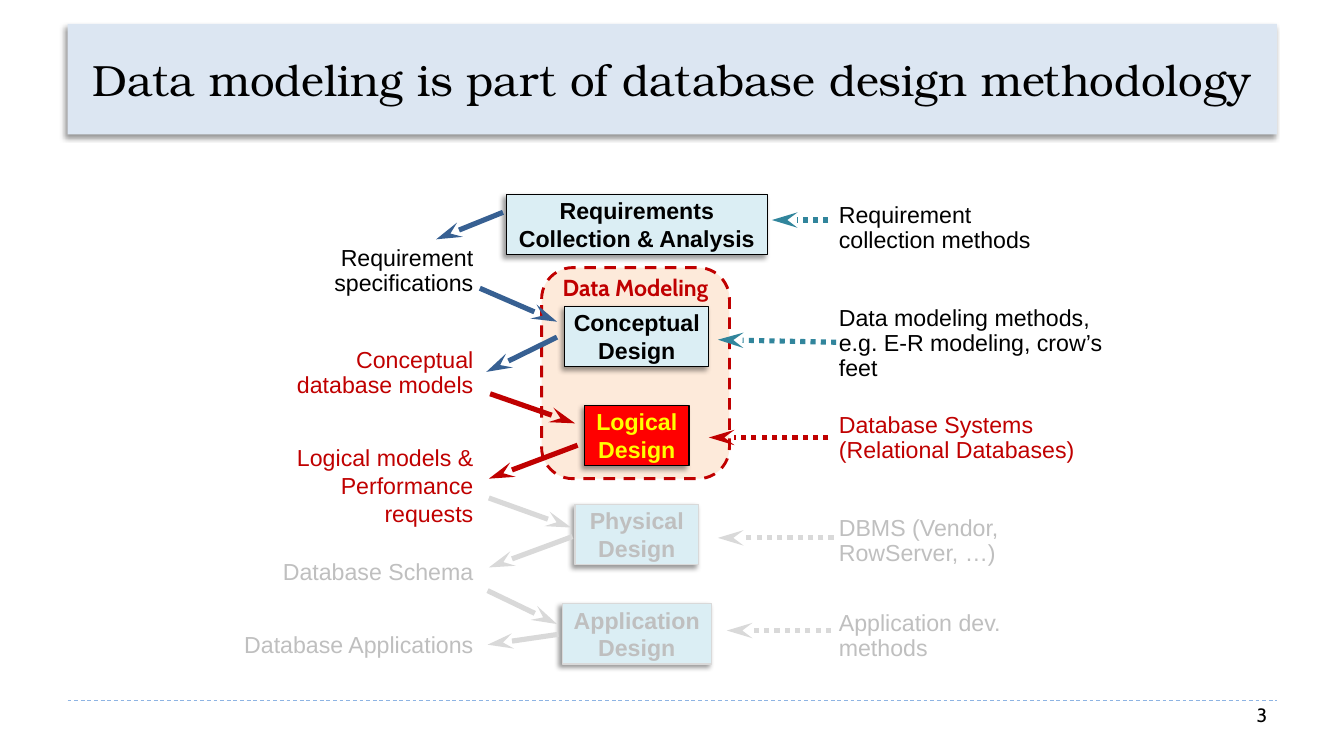
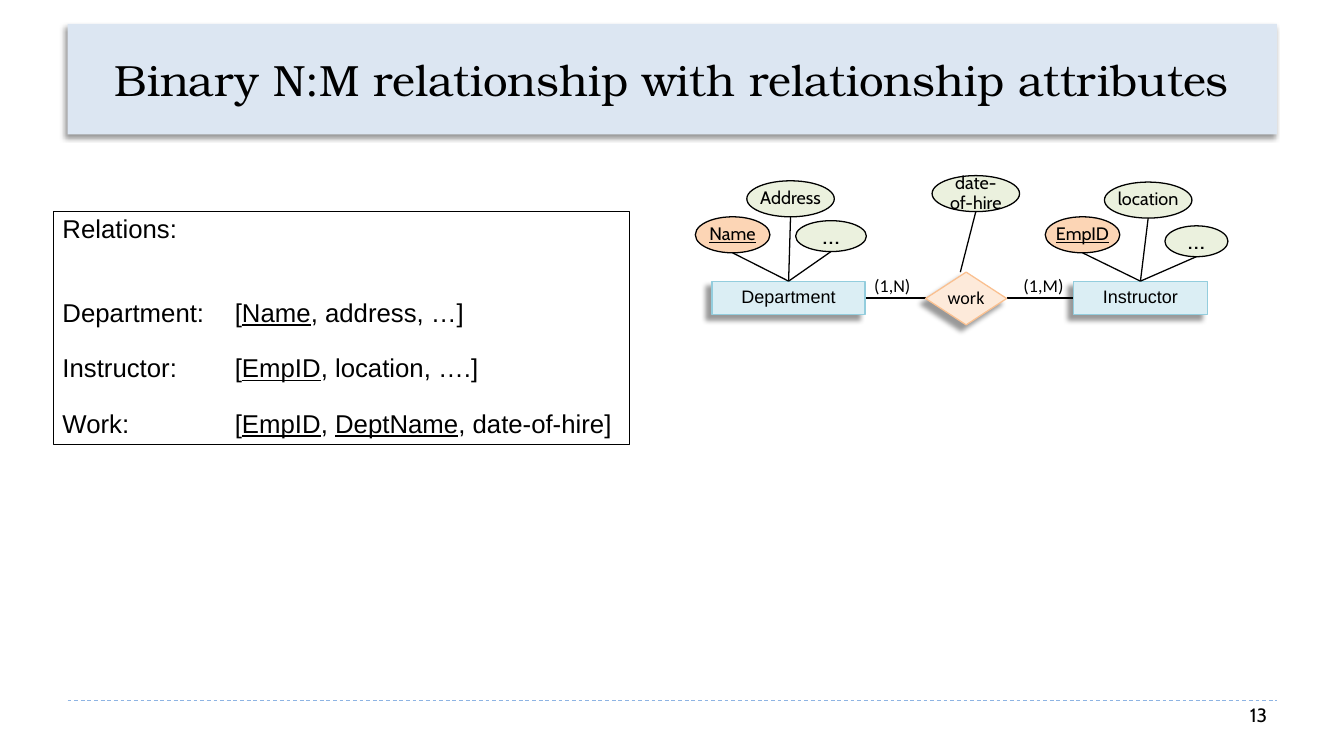
from collections import namedtuple

from lxml import etree
from pptx import Presentation
from pptx.dml.color import RGBColor
from pptx.enum.dml import MSO_LINE
from pptx.enum.shapes import MSO_CONNECTOR, MSO_SHAPE
from pptx.enum.text import MSO_ANCHOR, PP_ALIGN
from pptx.oxml.ns import qn
from pptx.util import Pt

RECT, ROUNDED = MSO_SHAPE.RECTANGLE, MSO_SHAPE.ROUNDED_RECTANGLE
OVAL, DIAMOND = MSO_SHAPE.OVAL, MSO_SHAPE.DIAMOND
DASH, DOTS = MSO_LINE.DASH, MSO_LINE.ROUND_DOT
LEFT, CENTER, RIGHT = PP_ALIGN.LEFT, PP_ALIGN.CENTER, PP_ALIGN.RIGHT
TOP, MIDDLE = MSO_ANCHOR.TOP, MSO_ANCHOR.MIDDLE
STRAIGHT = MSO_CONNECTOR.STRAIGHT

BLACK = RGBColor(0x00, 0x00, 0x00)
BAND = RGBColor(0xDC, 0xE6, 0xF2)
RULE = RGBColor(0x8E, 0xB4, 0xE3)
AQUA = RGBColor(0xDB, 0xEE, 0xF4)
AQUA_EDGE = RGBColor(0x93, 0xCD, 0xDD)
PEACH = RGBColor(0xFD, 0xEA, 0xDA)
PEACH_EDGE = RGBColor(0xFA, 0xC0, 0x90)
KEY_FILL = RGBColor(0xFC, 0xD5, 0xB5)
OLIVE = RGBColor(0xEB, 0xF1, 0xDE)
DARK_RED = RGBColor(0xC0, 0x00, 0x00)
RED = RGBColor(0xFF, 0x00, 0x00)
YELLOW = RGBColor(0xFF, 0xFF, 0x00)
BLUE = RGBColor(0x37, 0x60, 0x92)
TEAL = RGBColor(0x31, 0x85, 0x9C)
FADED = RGBColor(0xD9, 0xD9, 0xD9)
FADED_TEXT = RGBColor(0xBF, 0xBF, 0xBF)

TITLE_FONT, BODY_FONT, ACCENT_FONT, LABEL_FONT = "TeX Gyre Bonum", "Arial", "Cabin", "Calibri"

Box = namedtuple("Box", "left top width height")
Stage = namedtuple("Stage", "lines top width fill ink edge flow inflow outflow")
Output = namedtuple("Output", "lines middle ink spacing")
Method = namedtuple("Method", "text middle width ink arrow start end")
Attribute = namedtuple("Attribute", "text box is_key size target")

SLIDE = Box(0, 0, 1044.7, 587.5)
TITLE = Box(52.5, 18.5, 940, 86)
FOOTER = Box(52.5, 544, 940, 41)
FLOW = Box(155, 150, 750, 370)
DIAGRAM = Box(540.5, 136.5, 414, 120)
RELATIONS = Box(41.5, 164.5, 448, 181)


# Shared drawing helpers
def within(region, left, top, width, height):
    return Box(region.left + left, region.top + top, width, height)


def write(shape, lines, size, ink, font=BODY_FONT, align=CENTER, anchor=MIDDLE,
          margins=(0, 0), spacing=1.0, wrap=True, bold=False, underline=False):
    frame = shape.text_frame
    frame.text = "\n".join(lines)
    frame.word_wrap, frame.vertical_anchor = wrap, anchor
    frame.margin_left = frame.margin_right = Pt(margins[0])
    frame.margin_top = frame.margin_bottom = Pt(margins[1])
    for paragraph in frame.paragraphs:
        paragraph.alignment, paragraph.line_spacing = align, spacing
        for run in paragraph.runs:
            style_run(run, size, ink, font, bold, underline)


def style_run(run, size, ink, font=BODY_FONT, bold=False, underline=False):
    run.font.name, run.font.size = font, Pt(size)
    run.font.color.rgb = ink
    run.font.bold, run.font.underline = bold, underline


def add_shape(slide, kind, box, fill=None, edge=None, edge_width=1, shadow=0):
    shape = slide.shapes.add_shape(kind, *(Pt(length) for length in box))
    if fill is None:
        shape.fill.background()
    else:
        shape.fill.solid()
        shape.fill.fore_color.rgb = fill
    if edge is None:
        shape.line.fill.background()
    else:
        shape.line.color.rgb = edge
        shape.line.width = Pt(edge_width)
    shape.shadow.inherit = False
    if shadow:
        effects = shape.element.spPr.find(qn("a:effectLst"))
        outer = etree.SubElement(effects, qn("a:outerShdw"), blurRad=str(Pt(4)),
                                 dist=str(Pt(shadow)), dir="8100000",
                                 algn="tr", rotWithShape="0")
        color = etree.SubElement(outer, qn("a:srgbClr"), val=str(BLACK))
        etree.SubElement(color, qn("a:alpha"), val="40000")
    return shape


def add_label(slide, box, lines, size, ink, **style):
    label = slide.shapes.add_textbox(*(Pt(length) for length in box))
    write(label, lines, size, ink, **style)


def add_line(slide, region, start, end, color, width=1, dash=None, arrow=False):
    ends = [Pt(origin + offset) for point in (start, end)
            for origin, offset in zip(region[:2], point)]
    connector = slide.shapes.add_connector(STRAIGHT, *ends)
    connector.line.color.rgb = color
    connector.line.width = Pt(width)
    if dash is not None:
        connector.line.dash_style = dash
    properties = connector.element.spPr
    if arrow:
        etree.SubElement(properties.find(qn("a:ln")), qn("a:tailEnd"),
                         type="stealth", w="med", len="lg")
    etree.SubElement(properties, qn("a:effectLst"))


# Title band, footer rule and page number
def add_frame(presentation, title, number):
    slide = presentation.slides.add_slide(presentation.slide_layouts[6])
    add_line(slide, FOOTER, (0, 0), (FOOTER.width, 0), RULE, 0.75, DASH)
    band = add_shape(slide, RECT, TITLE, BAND, shadow=3)
    write(band, [title], 34, BLACK, TITLE_FONT, margins=(7.5, 3.6))
    add_label(slide, within(FOOTER, 818, -1, 122, 40), [str(number)], 15, BLACK,
              font=ACCENT_FONT, align=RIGHT, anchor=TOP, margins=(7.5, 3.6))
    return slide


# Design methodology: each stage with its arrows in and out
STAGES = [
    Stage(["Requirements", "Collection & Analysis"], 1, 203, AQUA, BLACK, BLACK, BLUE,
          None, ((236, 15), (184, 36))),
    Stage(["Conceptual", "Design"], 88, 112, AQUA, BLACK, BLACK, BLUE,
          ((218, 74), (278, 100)), ((278, 112), (223, 139))),
    Stage(["Logical", "Design"], 165, 81, RED, YELLOW, BLACK, DARK_RED,
          ((226, 156), (292, 179)), ((294, 196), (225, 222))),
    Stage(["Physical", "Design"], 242, 96, AQUA, FADED_TEXT, FADED, FADED,
          ((225, 237), (289, 260)), ((290, 267), (225, 291))),
    Stage(["Application", "Design"], 319, 116, AQUA, FADED_TEXT, FADED, FADED,
          ((224, 309), (278, 335)), ((279, 343), (224, 351))),
]
OUTPUTS = [
    Output(["Requirement\vspecifications"], 61, BLACK, 0.9),
    Output(["Conceptual\vdatabase models"], 140, DARK_RED, 0.9),
    Output(["Logical models &", "Performance\vrequests"], 227, DARK_RED, 1.0),
    Output(["Database Schema"], 295, FADED_TEXT, 0.9),
    Output(["Database Applications"], 352, FADED_TEXT, 0.9),
]
METHODS = [
    Method("Requirement\vcollection methods", 27.5, 205, BLACK, TEAL, (489, 21), (445, 21)),
    Method("Data modeling methods,\ve.g. E-R modeling, crow’s feet", 117.5, 235,
           BLACK, TEAL, (495, 116), (403, 114)),
    Method("Database Systems (Relational Databases)", 191, 205,
           DARK_RED, DARK_RED, (489, 190), (396, 190)),
    Method("DBMS (Vendor, RowServer, …)", 271, 205,
           FADED_TEXT, FADED, (493, 268), (403, 268)),
    Method("Application dev. methods", 345, 205,
           FADED_TEXT, FADED, (491, 340), (410, 340)),
]
STAGE_CENTER, STAGE_HEIGHT = 340, 47
LABEL_HEIGHT = 72


def add_design_flow(slide, region):
    modeling = add_shape(slide, ROUNDED, within(region, 266, 58, 146, 164),
                         PEACH, DARK_RED, 2.25)
    modeling.line.dash_style = DASH
    write(modeling, ["Data Modeling"], 18, DARK_RED, ACCENT_FONT,
          anchor=TOP, spacing=0.9, bold=True)

    for stage in STAGES:
        left = STAGE_CENTER - stage.width / 2
        box = within(region, left, stage.top, stage.width, STAGE_HEIGHT)
        step = add_shape(slide, RECT, box, stage.fill, stage.edge, shadow=3)
        write(step, stage.lines, 18, stage.ink, margins=(3.6, 1.5), wrap=False, bold=True)
        for ends in filter(None, (stage.inflow, stage.outflow)):
            add_line(slide, region, *ends, stage.flow, 4, arrow=True)

    for output in OUTPUTS:
        box = within(region, 0, output.middle - LABEL_HEIGHT / 2, 220, LABEL_HEIGHT)
        add_label(slide, box, output.lines, 18, output.ink, align=RIGHT,
                  margins=(7.2, 3.6), spacing=output.spacing)

    for method in METHODS:
        box = within(region, 490, method.middle - LABEL_HEIGHT / 2,
                     method.width, LABEL_HEIGHT)
        add_label(slide, box, [method.text], 18, method.ink, align=LEFT,
                  margins=(7.2, 3.6), spacing=0.9)
        add_line(slide, region, method.start, method.end, method.arrow, 4, DOTS, True)


# Entity-relationship diagram
DEPARTMENT = Box(13, 82, 119, 26)
INSTRUCTOR = Box(294, 82, 104, 26)
WORK = Box(179, 75, 63, 41)
DEPARTMENT_TOP, INSTRUCTOR_TOP = (72.5, 82), (346, 82)
ATTRIBUTES = [
    Attribute("Name", Box(0, 32, 58, 28), True, 14, DEPARTMENT_TOP),
    Attribute("Address", Box(40, 4, 68, 28), False, 14, DEPARTMENT_TOP),
    Attribute("…", Box(78, 35, 55, 24), False, 20, DEPARTMENT_TOP),
    Attribute("date-of-hire", Box(184, 0, 68, 28), False, 14, (206, 75)),
    Attribute("EmpID", Box(272, 32, 58, 28), True, 14, INSTRUCTOR_TOP),
    Attribute("location", Box(318, 5, 68, 28), False, 14, INSTRUCTOR_TOP),
    Attribute("…", Box(365, 39, 49, 24), False, 20, INSTRUCTOR_TOP),
]


def add_er_diagram(slide, region):
    axis = DEPARTMENT.top + DEPARTMENT.height / 2
    for first, second in ((DEPARTMENT, WORK), (WORK, INSTRUCTOR)):
        add_line(slide, region, (first.left + first.width, axis), (second.left, axis), BLACK)

    for name, box in (("Department", DEPARTMENT), ("Instructor", INSTRUCTOR)):
        entity = add_shape(slide, RECT, within(region, *box), AQUA, AQUA_EDGE, shadow=6)
        write(entity, [name], 14, BLACK, spacing=0.9, wrap=False)
    work = add_shape(slide, DIAMOND, within(region, *WORK), PEACH, PEACH_EDGE, shadow=6)
    write(work, ["work"], 14, BLACK, LABEL_FONT, spacing=0.9, wrap=False)

    for cardinality, left in (("(1,N)", 132), ("(1,M)", 248)):
        add_label(slide, within(region, left, 75, 50, 22), [cardinality], 14, BLACK,
                  font=LABEL_FONT, align=LEFT, anchor=TOP, margins=(7.2, 3.6),
                  spacing=0.9, wrap=False)

    # Only hyphenated names may break over two lines
    for attribute in ATTRIBUTES:
        box = attribute.box
        add_line(slide, region, (box.left + box.width / 2, box.top + box.height),
                 attribute.target, BLACK)
        oval = add_shape(slide, OVAL, within(region, *box),
                         KEY_FILL if attribute.is_key else OLIVE, BLACK)
        write(oval, [attribute.text], attribute.size, BLACK, ACCENT_FONT,
              spacing=0.9, wrap="-" in attribute.text, underline=attribute.is_key)


# Relation schemas: name, key attributes, other attributes
SCHEMAS = [
    ("Department:", ["Name"], "address, …"),
    ("Instructor:", ["EmpID"], "location, …."),
    ("Work:", ["EmpID", "DeptName"], "date-of-hire"),
]


def add_relations(slide, region):
    panel = add_shape(slide, RECT, region, edge=BLACK)
    write(panel, ["Relations:"], 20, BLACK, align=LEFT, anchor=TOP,
          margins=(7.2, 3.6), spacing=0.9)
    for index, (name, keys, others) in enumerate(SCHEMAS):
        schema = panel.text_frame.add_paragraph()
        tabs = etree.SubElement(schema._p.get_or_add_pPr(), qn("a:tabLst"))
        etree.SubElement(tabs, qn("a:tab"), pos=str(Pt(134)), algn="l")
        schema.alignment, schema.line_spacing = LEFT, 0.9
        schema.space_before = Pt(21.5 if index else 43.5)
        pieces = [(f"{name}\t[", False)]
        for key in keys:
            pieces += [(key, True), (", ", False)]
        for text, is_key in pieces + [(f"{others}]", False)]:
            run = schema.add_run()
            run.text = text
            style_run(run, 20, BLACK, underline=is_key)


def main():
    presentation = Presentation()
    presentation.slide_width, presentation.slide_height = Pt(SLIDE.width), Pt(SLIDE.height)

    methodology = add_frame(
        presentation, "Data modeling is part of database design methodology", 3)
    add_design_flow(methodology, FLOW)

    relationship = add_frame(
        presentation, "Binary N:M relationship with relationship attributes", 13)
    add_er_diagram(relationship, DIAGRAM)
    add_relations(relationship, RELATIONS)

    presentation.save("out.pptx")


if __name__ == "__main__":
    main()
